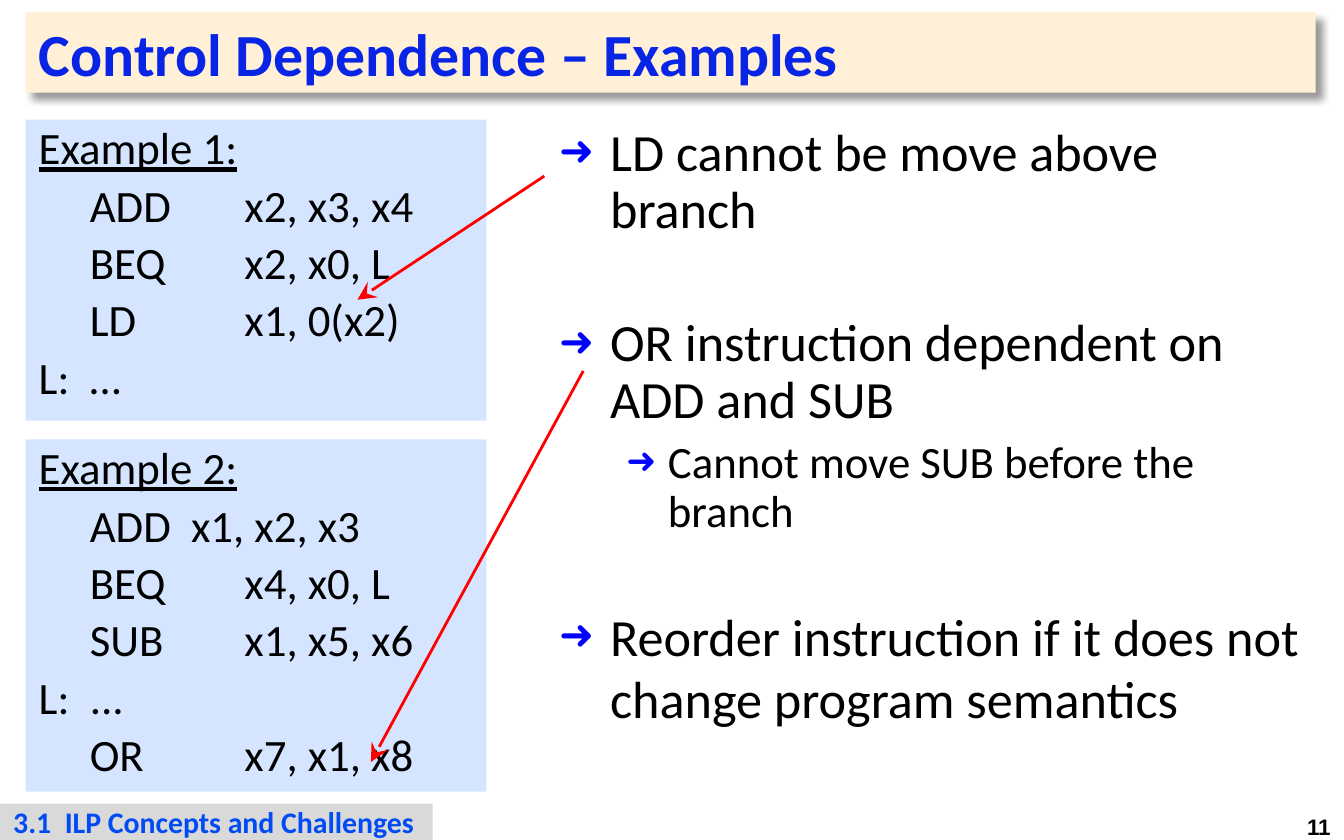
from lxml import etree
from pptx import Presentation
from pptx.dml.color import RGBColor
from pptx.enum.shapes import MSO_CONNECTOR, MSO_SHAPE
from pptx.enum.text import MSO_ANCHOR, MSO_AUTO_SIZE, PP_ALIGN
from pptx.oxml.ns import qn
from pptx.util import Inches, Pt

RECT = MSO_SHAPE.RECTANGLE
STRAIGHT = MSO_CONNECTOR.STRAIGHT
TOP, MIDDLE = MSO_ANCHOR.TOP, MSO_ANCHOR.MIDDLE
LEFT, RIGHT = PP_ALIGN.LEFT, PP_ALIGN.RIGHT
NO_FIT = MSO_AUTO_SIZE.NONE

WIDTH, HEIGHT = 10, 6.25
MARGIN = 0.19
CODE_WIDTH = 3.43
CONTENT_TOP = 0.89
FOOTER_TOP = 5.98
COLORS = {
    "title": "0824E5", "banner": "FFF0D7", "code": "D5E5FF",
    "footer": "D9D9D9", "section": "004BF3", "text": "000000",
    "bullet": "0000FF", "arrow": "FF0000",
}
EXAMPLES = [
    (CONTENT_TOP, 2.24, "Example 1:", [
        "\tADD\t  x2, x3, x4", "\tBEQ\t  x2, x0, L",
        "\tLD\t  x1, 0(x2)", "L:\t…"]),
    (3.27, 2.62, "Example 2:", [
        "\tADD  x1, x2, x3", "\tBEQ\t  x4, x0, L",
        "\tSUB \t  x1, x5, x6", "L: \t...", "\tOR\t  x7, x1, x8"]),
]
POINTS = [
    ("LD cannot be move above branch", 0, 6, 0.9),
    ("OR instruction dependent on ADD and SUB", 0, 41.5, 0.9),
    ("Cannot move SUB before the branch", 1, 5.5, 0.9),
    ("Reorder instruction if it does not change program semantics", 0, 36, 1.0),
]
LEVELS = [(28, 0.38, -0.38), (24, 0.81, -0.31)]
ARROWS = [((4.05, 1.31), (2.66, 2.23)), ((4.34, 2.76), (2.76, 5.67))]


def color(name):
    return RGBColor.from_string(COLORS[name])


def add_node(parent, tag, **attributes):
    return etree.SubElement(parent, qn(tag), attributes)


def place(shape, left, top, width, height):
    shape.left, shape.top = Inches(left), Inches(top)
    shape.width, shape.height = Inches(width), Inches(height)


def add_span(para, text, size, tint="text", font="Calibri", bold=False, underline=False):
    span = para.add_run()
    span.text = text
    span.font.name, span.font.size = font, Pt(size)
    span.font.bold, span.font.underline = bold, underline
    span.font.color.rgb = color(tint)


def set_spacing(para, line, before):
    para.line_spacing, para.space_before = line, Pt(before)


def set_indent(para, margin, indent):
    props = para._p.get_or_add_pPr()
    props.set("marL", str(Inches(margin)))
    props.set("indent", str(Inches(indent)))
    props.set("defTabSz", str(Inches(1)))
    return props


def next_para(frame, index):
    return frame.add_paragraph() if index else frame.paragraphs[0]


def add_title(page, text):
    title = page.shapes.title
    place(title, MARGIN, 0.09, WIDTH - 2 * MARGIN - 0.02, 0.6)
    geometry = add_node(title._element.spPr, "a:prstGeom", prst="roundRect")
    guides = add_node(geometry, "a:avLst")
    add_node(guides, "a:gd", name="adj", fmla="val 5300")
    title.fill.solid()
    title.fill.fore_color.rgb = color("banner")
    effects = add_node(title._element.spPr, "a:effectLst")
    shadow = add_node(effects, "a:outerShdw", blurRad=str(Pt(4)), dist=str(Pt(5)),
                      dir="2700000", algn="tl", rotWithShape="0")
    tint = add_node(shadow, "a:srgbClr", val=COLORS["text"])
    add_node(tint, "a:alpha", val="40000")
    frame = title.text_frame
    frame.vertical_anchor, frame.auto_size = MIDDLE, NO_FIT
    para = frame.paragraphs[0]
    para.alignment = LEFT
    add_span(para, text, 32, "title", bold=True)


def add_points(page):
    body = page.placeholders[1]
    place(body, 4.06, CONTENT_TOP, 5.75, FOOTER_TOP - CONTENT_TOP)
    frame = body.text_frame
    frame.vertical_anchor, frame.auto_size = TOP, NO_FIT
    for index, (text, level, before, line) in enumerate(POINTS):
        size, margin, indent = LEVELS[level]
        para = next_para(frame, index)
        para.level = level
        set_spacing(para, line, before)
        props = set_indent(para, margin, indent)
        tint = add_node(props, "a:buClr")
        add_node(tint, "a:srgbClr", val=COLORS["bullet"])
        add_node(props, "a:buSzPct", val="80000")
        add_node(props, "a:buChar", char="➜")
        add_span(para, text, size)


def add_panel(page, fill, left, top, width, height):
    box = page.shapes.add_shape(RECT, Inches(left), Inches(top), Inches(width), Inches(height))
    box.shadow.inherit = False
    box.fill.solid()
    box.fill.fore_color.rgb = color(fill)
    box.line.fill.background()
    box.text_frame.vertical_anchor = TOP
    box.text_frame.paragraphs[0].alignment = LEFT
    return box.text_frame


def add_example(page, top, height, heading, lines):
    frame = add_panel(page, "code", MARGIN, top, CODE_WIDTH, height)
    frame.word_wrap = True
    for index, text in enumerate([heading] + lines):
        para = next_para(frame, index)
        para.alignment = LEFT
        set_spacing(para, 0.9, 4.8)
        if index:
            set_indent(para, 0.38, -0.38)
        add_span(para, text, 24, underline=index == 0)


def add_footer(page, section, number):
    frame = add_panel(page, "footer", 0, FOOTER_TOP, 3.22, HEIGHT - FOOTER_TOP)
    frame.margin_top = frame.margin_bottom = 0
    frame.word_wrap = False
    add_span(frame.paragraphs[0], section, 16, "section", bold=True)
    box = page.shapes.add_textbox(Inches(WIDTH - 0.63), Inches(6), Inches(0.63), Inches(0.3))
    box.text_frame.word_wrap = True
    para = box.text_frame.paragraphs[0]
    para.alignment = RIGHT
    add_span(para, number, 12, font="Arial", bold=True)


def add_arrow(page, start, end):
    ends = [Inches(value) for value in start + end]
    arrow = page.shapes.add_connector(STRAIGHT, *ends)
    arrow.line.color.rgb = color("arrow")
    arrow.line.width = Pt(1.5)
    props = arrow._element.spPr
    add_node(props.find(qn("a:ln")), "a:tailEnd", type="stealth", w="lg", len="lg")
    add_node(props, "a:effectLst")


def main():
    deck = Presentation()
    deck.slide_width, deck.slide_height = Inches(WIDTH), Inches(HEIGHT)
    page = deck.slides.add_slide(deck.slide_layouts[1])
    add_title(page, "Control Dependence – Examples")
    add_points(page)
    for example in EXAMPLES:
        add_example(page, *example)
    add_footer(page, "3.1  ILP Concepts and Challenges", "11")
    for start, end in ARROWS:
        add_arrow(page, start, end)
    deck.save("out.pptx")


if __name__ == "__main__":
    main()
